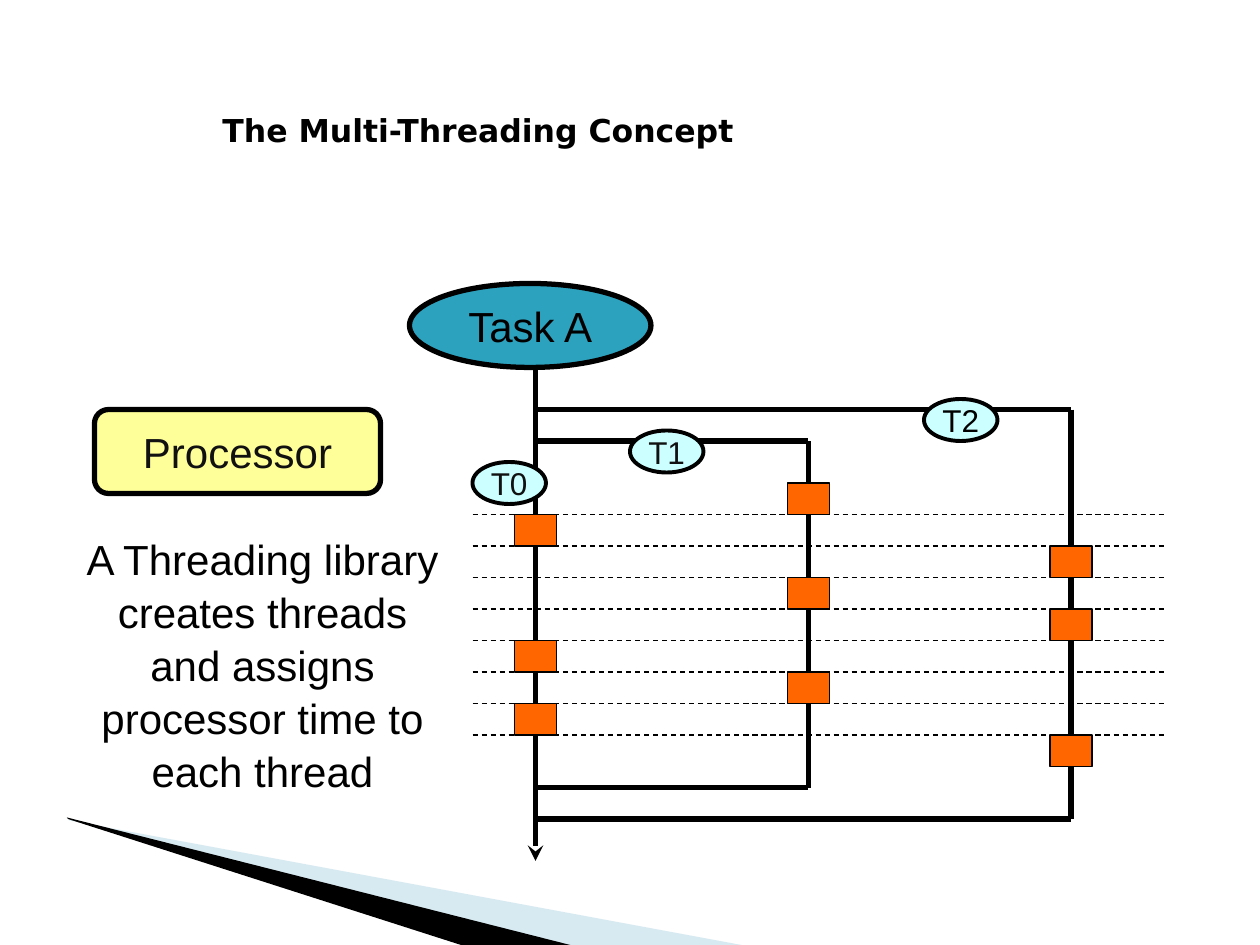
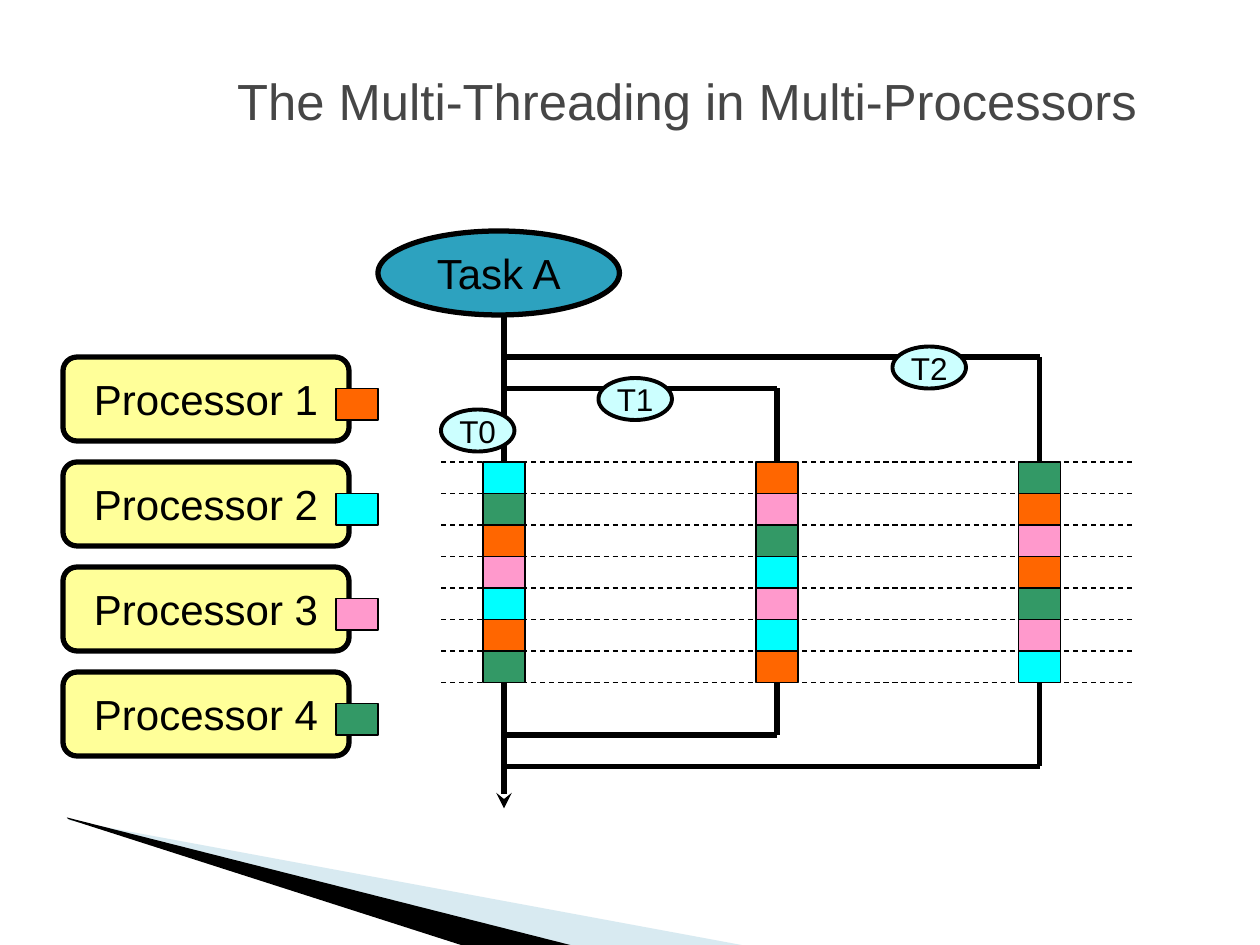
import pptx
import pptx.util
import pptx.dml.color
import pptx.enum.dml
import pptx.enum.shapes
import pptx.enum.text
import lxml.etree
from dataclasses import dataclass

Cm, Pt = pptx.util.Cm, pptx.util.Pt
RGB = pptx.dml.color.RGBColor.from_string
Kind = pptx.enum.shapes.MSO_SHAPE
Side = pptx.enum.text.PP_ALIGN
Stand = pptx.enum.text.MSO_ANCHOR
Dash = pptx.enum.dml.MSO_LINE.DASH
NS = "{http://schemas.openxmlformats.org/drawingml/2006/main}"
CELL = 2.54 / 12  # the diagrams sit on a grid of twelve cells to the inch


@dataclass(frozen=True)
class Theme:
    black: str = "000000"
    soft: str = "111111"
    gray: str = "464646"
    task: str = "2DA2BF"
    proc: str = "FFFF99"
    tag: str = "CCFFFF"
    wedge: str = "9FCBDC"
    slots: tuple = ("FF6600", "00FFFF", "FF99CC", "339966")
    font: str = "Arial"
    bold: str = "DejaVu Sans"
    head: int = 29
    body: int = 24
    small: int = 18
    thick: float = 3
    mid: float = 2.25
    thin: float = 0.75


theme = Theme()


def form(page, kind, box, fill, width, text="", size=theme.body, ink=theme.black):
    """Draw a preset shape, box in grid cells, with an optional centred label."""
    shape = page.shapes.add_shape(kind, *(Cm(n * CELL) for n in box))
    shape.shadow.inherit = False
    shape.fill.solid()
    shape.fill.fore_color.rgb = RGB(fill)
    shape.line.color.rgb = RGB(theme.black)
    shape.line.width = Pt(width)
    if text:
        frame = shape.text_frame
        frame.word_wrap = False
        frame.vertical_anchor = Stand.MIDDLE
        frame.paragraphs[0].alignment = Side.CENTER
        run = frame.paragraphs[0].add_run()
        run.text = text
        run.font.name, run.font.size = theme.font, Pt(size)
        run.font.color.rgb = RGB(ink)


def rule(page, ends, width):
    """Draw a straight line, ends in grid cells."""
    line = page.shapes.add_connector(
        pptx.enum.shapes.MSO_CONNECTOR.STRAIGHT, *(Cm(n * CELL) for n in ends))
    line.line.color.rgb = RGB(theme.black)
    line.line.width = Pt(width)
    lxml.etree.SubElement(line._element.spPr, NS + "effectLst")
    return line


wedges = [
    (theme.wedge, 40, [(1.4, 16.54), (15.11, 19.08), (11.58, 19.08), (1.4, 16.51)]),
    (theme.black, 100, [(1.35, 16.48), (11.61, 19.08), (9.45, 19.1), (1.37, 16.51)]),
]

# box, text, font, size, bold, ink, alignment, anchor, line spacing
first = [
    ((20, 10, 75, 4.8), "The Multi-Threading Concept", theme.bold, theme.small,
     True, theme.black, Side.LEFT, Stand.TOP, 1),
    ((7, 50, 36, 30), "A Threading library creates threads and assigns "
     "processor time to each thread", theme.font, theme.body,
     False, theme.black, Side.CENTER, Stand.TOP, 1.05),
]
second = [
    ((18, 2, 95, 15), "The Multi-Threading in Multi-Processors", theme.font, theme.head,
     False, theme.gray, Side.CENTER, Stand.MIDDLE, 1),
]

# Each thread's string holds the processor number that serves each time slot.
pages = [
    dict(texts=first, left=0, top=0, ink=theme.soft, procs=["Processor"], keys=False,
         plan=["-1---1-1-", "1--1--1--", "--1-1---1"]),
    dict(texts=second, left=-3, top=-5, ink=theme.black, keys=True,
         procs=[f"Processor {n}" for n in range(1, 5)],
         plan=["-2413214-", "-1342321-", "-4131432-"]),
]

stem = 51
lanes = [stem, 77, 102]
loops = [(77, 42, 75), (102, 39, 78)]
tags = [(45, 44), (60, 41), (88, 38)]

deck = pptx.Presentation()
deck.slide_width, deck.slide_height = Cm(25.4), Cm(19.05)

for page in pages:
    slide = deck.slides.add_slide(deck.slide_layouts[6])
    left, top = page["left"], page["top"]

    for tint, alpha, points in wedges:
        dots = [(Cm(x), Cm(y)) for x, y in points]
        path = slide.shapes.build_freeform(*dots[0], scale=1.0)
        path.add_line_segments(dots[1:], close=True)
        wedge = path.convert_to_shape()
        wedge.shadow.inherit = False
        wedge.line.fill.background()
        wedge.fill.solid()
        wedge.fill.fore_color.rgb = RGB(tint)
        if alpha < 100:
            color = wedge._element.spPr.find(f"{NS}solidFill/{NS}srgbClr")
            lxml.etree.SubElement(color, NS + "alpha", val=str(alpha * 1000))

    for box, text, font, size, bold, ink, side, stand, space in page["texts"]:
        frame = slide.shapes.add_textbox(*(Cm(n * CELL) for n in box)).text_frame
        frame.word_wrap = True
        frame.vertical_anchor = stand
        para = frame.paragraphs[0]
        para.alignment = side
        para.line_spacing = space
        run = para.add_run()
        run.text = text
        run.font.name, run.font.size, run.font.bold = font, Pt(size), bold
        run.font.color.rgb = RGB(ink)

    form(slide, Kind.OVAL, (39 + left, 27 + top, 23, 8), theme.task, theme.thick, "Task A")

    for row, name in enumerate(page["procs"]):
        high = 39 + top + 10 * row
        form(slide, Kind.ROUNDED_RECTANGLE, (9 + left, high, 27.25, 8),
             theme.proc, theme.thick, name, ink=page["ink"])
        if page["keys"]:
            form(slide, Kind.RECTANGLE, (35 + left, high + 3, 4, 3),
                 theme.slots[row], theme.thin)

    trunk = rule(slide, (stem + left, 35 + top, stem + left, 82 + top), theme.thick)
    lxml.etree.SubElement(trunk.line._get_or_add_ln(), NS + "tailEnd", type="stealth")
    for x, start, end in loops:
        rule(slide, (x + left, start + top, x + left, end + top), theme.thick)
        for y in (start, end):
            rule(slide, (stem + left, y + top, x + left, y + top), theme.thick)

    for step in range(8):
        y = 49 + top + 3 * step
        rule(slide, (45 + left, y, 111 + left, y), theme.thin).line.dash_style = Dash.DASH

    for x, turns in zip(lanes, page["plan"]):
        for slot, turn in enumerate(turns):
            if turn != "-":
                form(slide, Kind.RECTANGLE, (x - 2 + left, 46 + top + 3 * slot, 4, 3),
                     theme.slots[int(turn) - 1], theme.thin)

    for n, (x, y) in enumerate(tags):
        form(slide, Kind.OVAL, (x + left, y + top, 7, 4), theme.tag, theme.mid, f"T{n}",
             theme.small, theme.black if n == 2 else page["ink"])

deck.save("out.pptx")
